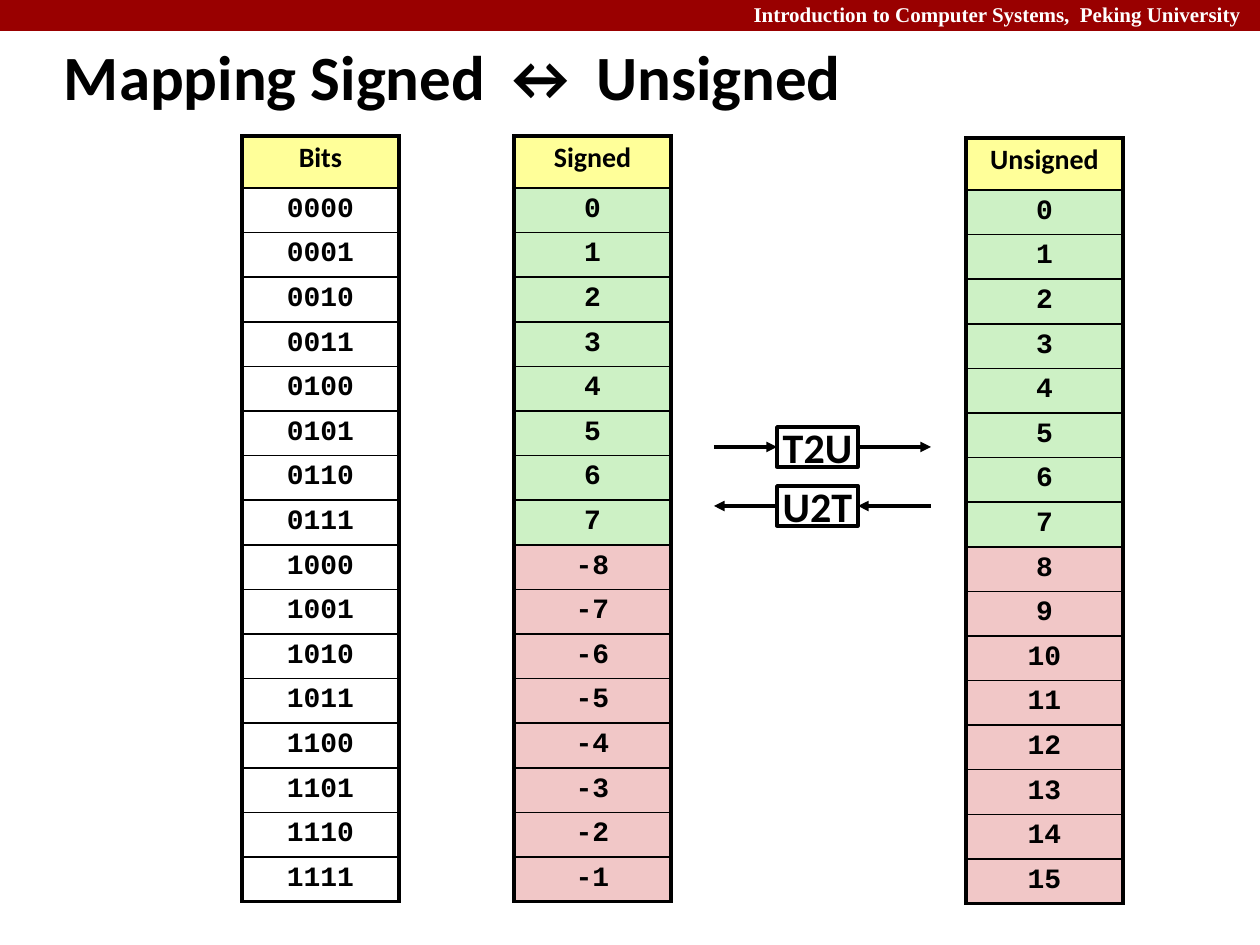
from lxml import etree
from pptx import Presentation
from pptx import util as u
from pptx.dml.color import RGBColor
from pptx.enum import shapes, text
from pptx.oxml import ns

INK, WHITE, RED = "000000", "FFFFFF", "990000"
GOLD, GREEN, PINK = "FFFF99", "CDF1C5", "F1C7C7"
SCALE = 914400 / 126


def px(n):
    return u.Emu(round(n * SCALE))


def rgb(hue):
    return RGBColor.from_string(hue)


def paint(fill, hue):
    if hue is None:
        fill.background()
    else:
        fill.solid()
        fill.fore_color.rgb = rgb(hue)


def write(para, words, size, face="Calibri", hue=INK, align=text.PP_ALIGN.CENTER):
    para.alignment = align
    run = para.add_run()
    run.text = words
    font = run.font
    font.name, font.size, font.bold = face, u.Pt(size), True
    font.color.rgb = rgb(hue)


def inset(item, side, top):
    item.margin_left = item.margin_right = px(side)
    item.margin_top = item.margin_bottom = px(top)


def add_rect(home, x, y, w, h, hue, edge=None):
    rect = home.add_shape(shapes.MSO_SHAPE.RECTANGLE, px(x), px(y), px(w), px(h))
    rect.shadow.inherit = False
    paint(rect.fill, hue)
    paint(rect.line.fill, edge)
    return rect


def add_banner(slide):
    add_rect(slide.shapes, 0, 0, 1260, 31, RED)
    box = slide.shapes.add_textbox(px(567), px(-4), px(693), px(38))
    frame = box.text_frame
    frame.word_wrap = True
    inset(frame, 19, 6)
    write(frame.paragraphs[0], "Introduction to Computer Systems,  Peking University",
          12, "Times New Roman", WHITE, text.PP_ALIGN.RIGHT)


def set_title(slide):
    title = slide.shapes.title
    title.left, title.top, title.width, title.height = px(55), px(34), px(940), px(77)
    frame = title.text_frame
    frame.word_wrap = False
    frame.auto_size = text.MSO_AUTO_SIZE.SHAPE_TO_FIT_TEXT
    frame.vertical_anchor = text.MSO_ANCHOR.TOP
    inset(frame, 9, 4)
    write(frame.paragraphs[0], "Mapping Signed ↔ Unsigned", 36,
          align=text.PP_ALIGN.LEFT)


def add_edge(cell, side, width):
    props = cell._tc.get_or_add_tcPr()
    line = etree.SubElement(props, ns.qn("a:ln" + side), w=str(u.Pt(width)))
    fill = etree.SubElement(line, ns.qn("a:solidFill"))
    etree.SubElement(fill, ns.qn("a:srgbClr"), val=INK)


def add_table(slide, x, y, head, items, hues):
    words = [head] + items
    last = len(items)
    table = slide.shapes.add_table(last + 1, 1, px(x), px(y), px(157), px(766)).table
    table.first_row = table.horz_banding = False
    for i, row in enumerate(table.rows):
        row.height = px(714 / last) if i else px(52)
        cell = table.cell(i, 0)
        inset(cell, 6, 6)
        widths = {"L": 2.25, "R": 2.25, "T": 1 if i else 2.25, "B": 2.25 if i == last else 1}
        for side, width in widths.items():
            add_edge(cell, side, width)
        paint(cell.fill, hues[(i - 1) // 8] if i else GOLD)
        para = cell.text_frame.paragraphs[0]
        para.line_spacing = 0.95
        write(para, words[i], 16, "Courier New" if i else "Calibri")


def add_arrow(home, start, end, y):
    arrow = home.add_connector(shapes.MSO_CONNECTOR.STRAIGHT, px(start), px(y), px(end), px(y))
    arrow.line.width = u.Pt(2)
    arrow.line.color.rgb = rgb(INK)
    etree.SubElement(arrow.line._get_or_add_ln(), ns.qn("a:tailEnd"), type="triangle")
    etree.SubElement(arrow._element.spPr, ns.qn("a:effectLst"))
    return arrow


def add_map(slide, y, name, right):
    home = slide.shapes.add_group_shape().shapes
    box = add_rect(home, 777, y, 81, 40, WHITE, INK)
    box.line.width = u.Pt(2)
    frame = box.text_frame
    frame.word_wrap = False
    frame.vertical_anchor = text.MSO_ANCHOR.MIDDLE
    write(frame.paragraphs[0], name, 24)
    mid = y + 20
    if right:
        add_arrow(home, 714, 777, mid).end_connect(box, 1)
        add_arrow(home, 858, 931, mid).begin_connect(box, 3)
    else:
        add_arrow(home, 777, 714, mid).begin_connect(box, 1)
        add_arrow(home, 931, 858, mid).end_connect(box, 3)


def main():
    deck = Presentation()
    deck.slide_width, deck.slide_height = px(1260), px(945)
    slide = deck.slides.add_slide(deck.slide_layouts[5])
    add_banner(slide)
    set_title(slide)
    nums = range(16)
    bits = [f"{n:04b}" for n in nums]
    signed = [str(n if n < 8 else n - 16) for n in nums]
    add_table(slide, 242, 136, "Bits", bits, (None, None))
    add_table(slide, 514, 136, "Signed", signed, (GREEN, PINK))
    add_table(slide, 966, 138, "Unsigned", [str(n) for n in nums], (GREEN, PINK))
    add_map(slide, 427, "T2U", True)
    add_map(slide, 486, "U2T", False)
    deck.save("out.pptx")


if __name__ == "__main__":
    main()
